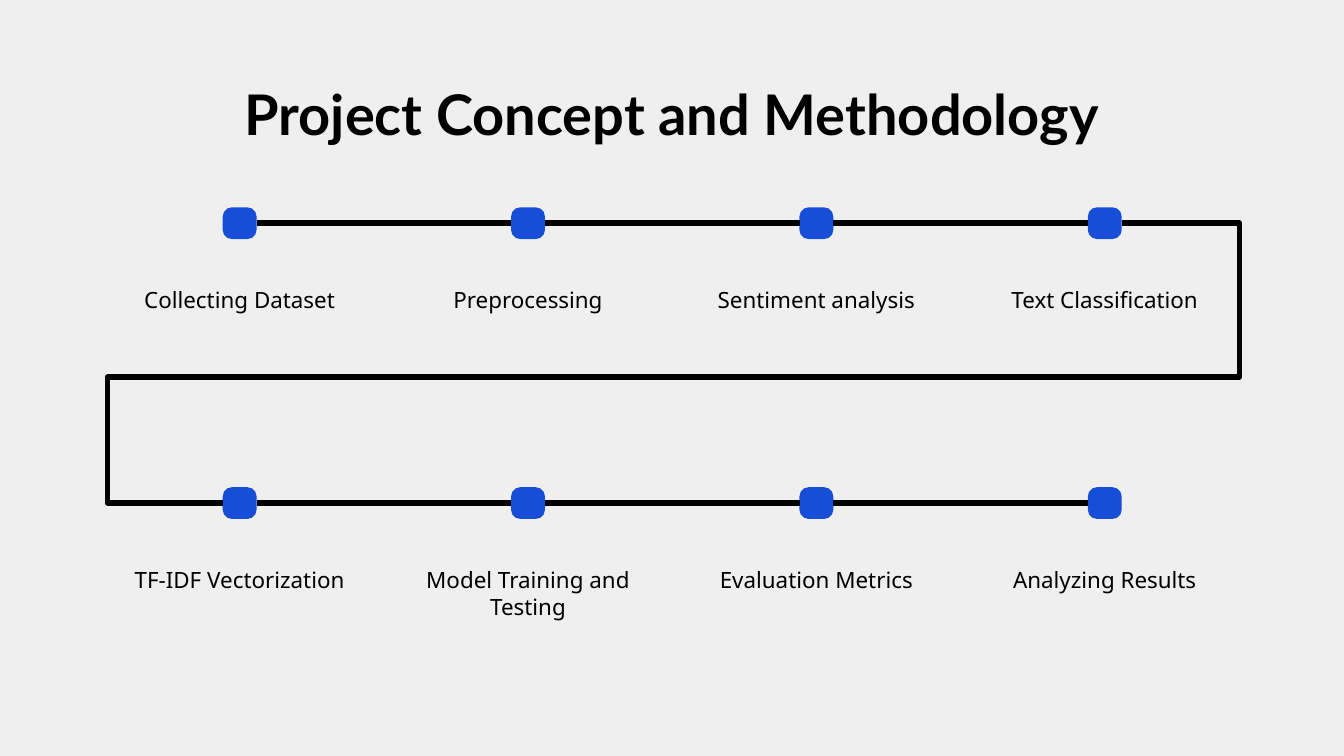
from dataclasses import dataclass

from lxml import etree
from pptx import Presentation
from pptx.dml.color import RGBColor
from pptx.enum.shapes import MSO_CONNECTOR, MSO_SHAPE
from pptx.enum.text import MSO_ANCHOR, MSO_AUTO_SIZE, PP_ALIGN
from pptx.oxml.ns import qn
from pptx.util import Cm, Pt

STRAIGHT, ELBOW = MSO_CONNECTOR.STRAIGHT, MSO_CONNECTOR.ELBOW
ROUNDED = MSO_SHAPE.ROUNDED_RECTANGLE
TOP, CENTER, NO_FIT = MSO_ANCHOR.TOP, PP_ALIGN.CENTER, MSO_AUTO_SIZE.NONE
LEFT_SIDE, RIGHT_SIDE = 1, 3


@dataclass(frozen=True)
class Theme:
    background: RGBColor = RGBColor(0xEF, 0xEF, 0xEF)
    ink: RGBColor = RGBColor(0, 0, 0)
    marker: RGBColor = RGBColor(0x17, 0x4E, 0xD8)
    title_font: str = "Lato"
    label_font: str = "Noto Sans"
    title_size: Pt = Pt(30)
    label_size: Pt = Pt(12)
    line_width: Pt = Pt(3)


theme = Theme()


def write_text(box, text, *, font, size, bold=False):
    frame = box.text_frame
    frame.word_wrap = True
    frame.auto_size = NO_FIT
    frame.vertical_anchor = TOP
    frame.margin_left = frame.margin_right = Cm(0.25)
    frame.margin_top = frame.margin_bottom = Cm(0.25)
    para = frame.paragraphs[0]
    para.alignment = CENTER
    span = para.add_run()
    span.text = text
    span.font.name = font
    span.font.size = size
    span.font.bold = bold
    span.font.color.rgb = theme.ink


def join_markers(kind, start, end):
    """Connect the right side of one marker to the left side of another."""
    line = page.shapes.add_connector(kind, 0, 0, 0, 0)
    line.begin_connect(start, RIGHT_SIDE)
    line.end_connect(end, LEFT_SIDE)
    line.line.color.rgb = theme.ink
    line.line.width = theme.line_width
    etree.SubElement(line._element.spPr, qn("a:effectLst"))
    return line


deck = Presentation()
deck.slide_width, deck.slide_height = Cm(25.4), Cm(14.29)
page = deck.slides.add_slide(deck.slide_layouts[5])
page.background.fill.solid()
page.background.fill.fore_color.rgb = theme.background

title = page.shapes.title
title.left, title.top, title.width, title.height = Cm(2), Cm(1.25), Cm(21.4), Cm(1.6)
write_text(title, "Project Concept and Methodology",
           font=theme.title_font, size=theme.title_size, bold=True)

# Two rows of steps; sizes and centres in centimetres
rows = [
    (4.22, ["Collecting Dataset", "Preprocessing", "Sentiment analysis", "Text Classification"]),
    (9.51, ["TF-IDF Vectorization", "Model Training and Testing", "Evaluation Metrics",
            "Analyzing Results"]),
]
first_center, pitch = 4.53, 5.45
marker_width, marker_height = 0.64, 0.6
label_width, label_height, label_drop = 5.03, 1.7, 0.94

marker_rows = []
for row_center, steps in rows:
    markers = []
    for column, step in enumerate(steps):
        center = first_center + column * pitch
        label = page.shapes.add_textbox(Cm(center - label_width / 2), Cm(row_center + label_drop),
                                        Cm(label_width), Cm(label_height))
        write_text(label, step, font=theme.label_font, size=theme.label_size)

        marker = page.shapes.add_shape(
            ROUNDED, Cm(center - marker_width / 2), Cm(row_center - marker_height / 2),
            Cm(marker_width), Cm(marker_height))
        marker.adjustments[0] = 0.29
        marker.shadow.inherit = False
        marker.fill.solid()
        marker.fill.fore_color.rgb = theme.marker
        marker.line.fill.background()
        markers.append(marker)
    for start, end in zip(markers, markers[1:]):
        join_markers(STRAIGHT, start, end)
    marker_rows.append(markers)

# Route from the end of the first row back to the start of the second
right_rail, middle_rail, left_rail = Cm(23.42), Cm(7.13), Cm(2.03)
route = join_markers(ELBOW, marker_rows[0][-1], marker_rows[1][0])
bends = [
    (route.begin_x - right_rail) / route.width,
    (middle_rail - route.begin_y) / route.height,
    (route.begin_x - left_rail) / route.width,
]
geometry = route._element.spPr.find(qn("a:prstGeom"))
geometry.set("prst", "bentConnector5")
guides = geometry.find(qn("a:avLst"))
for number, bend in enumerate(bends, start=1):
    etree.SubElement(guides, qn("a:gd"), name=f"adj{number}", fmla=f"val {round(bend * 100000)}")

deck.save("out.pptx")
